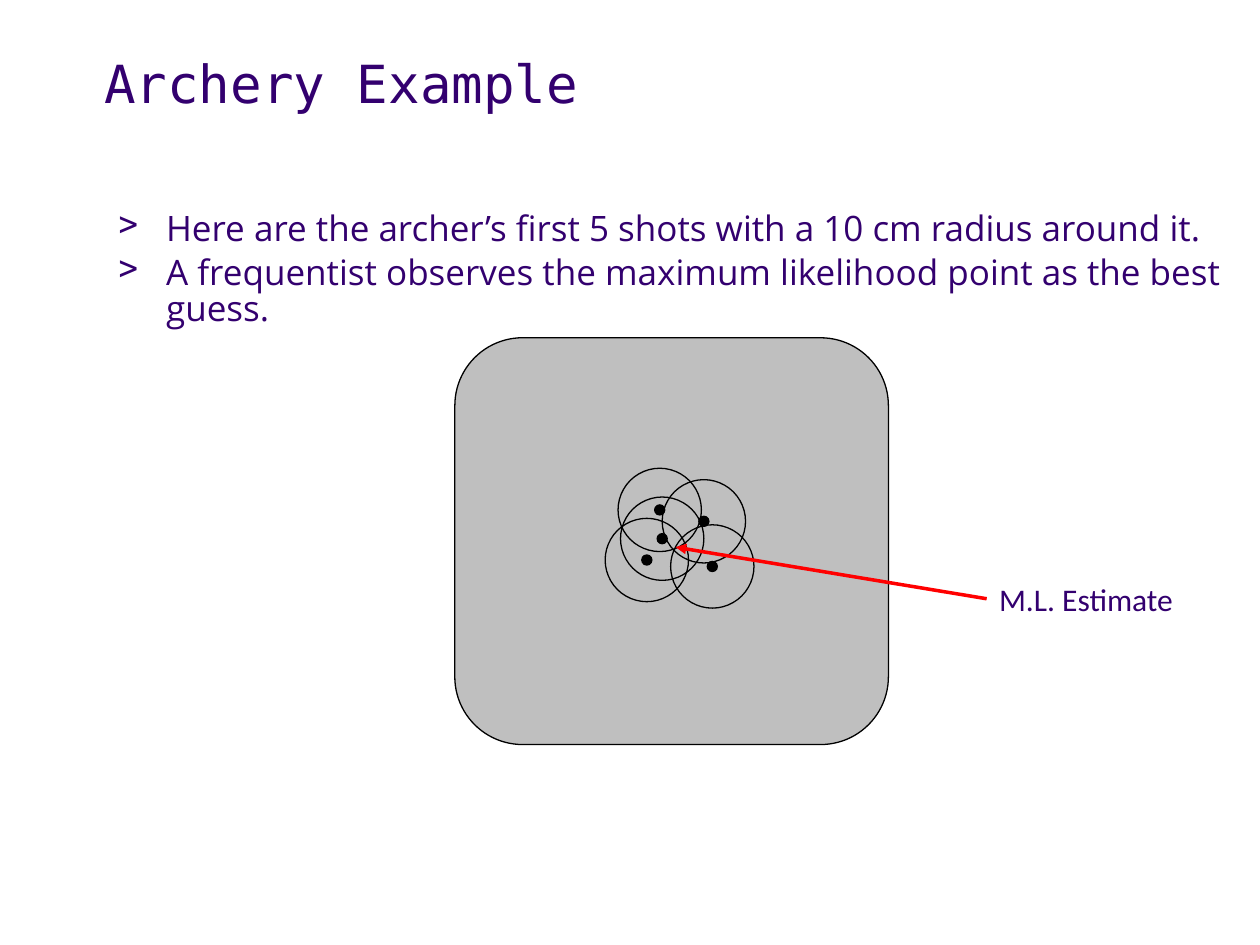
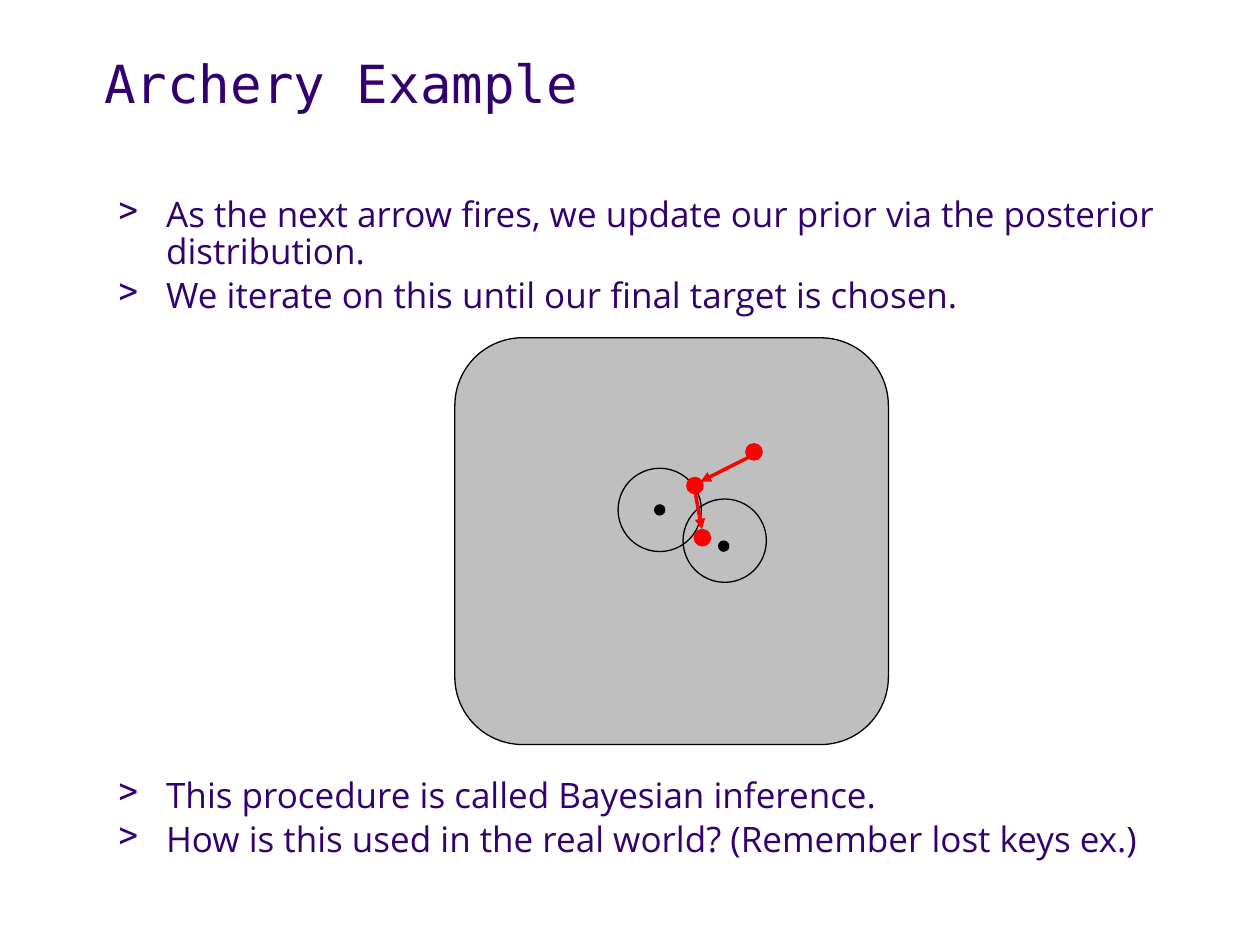
from dataclasses import dataclass

from pptx import Presentation
from pptx.dml.color import RGBColor
from pptx.enum.shapes import MSO_CONNECTOR, MSO_SHAPE
from pptx.oxml.ns import qn
from pptx.util import Cm, Pt

OVAL = MSO_SHAPE.OVAL
ROUNDED = MSO_SHAPE.ROUNDED_RECTANGLE
STRAIGHT = MSO_CONNECTOR.STRAIGHT


@dataclass(frozen=True)
class Theme:
    purple: str = "33006F"
    grey: str = "BFBFBF"
    black: str = "000000"
    red: str = "FF0000"
    outline: float = 0.75
    arrow: float = 2
    title: tuple = ("DejaVu Sans Mono", 30)
    body: tuple = ("Open Sans", 20)
    label: tuple = ("Calibri", 18)
    title_format: tuple = (("line_spacing", 0.9), ("space_before", Pt(0)))
    body_format: tuple = (("line_spacing", 0.88), ("space_before", Pt(4)))


THEME = Theme()

# Boxes are left, top, width, height in centimetres.
TITLE_BOX = (1.85, 1.04, 22.73, 2.74)
TARGET_BOX = (9.17, 6.81, 8.74, 8.2)
BODY_LEFT, BODY_WIDTH = 2.13, 22.76
BULLET_INDENT = 0.97
DOT, HIT, RING = 0.23, 0.33, 1.68

# Points are centres measured from the target's top left corner.
FIRST_SHOT = (4.13, 3.47)
SHOTS = [FIRST_SHOT, (5.02, 3.7), (3.87, 4.48), (5.19, 4.61), (4.18, 4.05)]
ESTIMATE = (4.45, 4.22)
LABEL_POINT = (10.72, 5.26)
NEXT_SHOT, NEXT_RING = (5.42, 4.2), (5.44, 4.09)
GUESSES = [(6.03, 2.3), (4.84, 2.98), (4.99, 4.03)]
UPDATES = [((5.92, 2.41), (4.95, 2.9)), ((4.85, 3.15), (4.98, 3.86))]


def rgb(color):
    return RGBColor.from_string(color)


def add_text(slide, box, lines, style, formats=(), wrap=True):
    frame = slide.shapes.add_textbox(*map(Cm, box)).text_frame
    frame.word_wrap = wrap
    for index, line in enumerate(lines):
        paragraph = frame.add_paragraph() if index else frame.paragraphs[0]
        for attribute, value in formats:
            setattr(paragraph, attribute, value)
        run = paragraph.add_run()
        run.text = line
        run.font.name, size = style
        run.font.size = Pt(size)
        run.font.color.rgb = rgb(THEME.purple)
    return frame


def add_bullets(slide, top, height, lines):
    box = (BODY_LEFT, top, BODY_WIDTH, height)
    frame = add_text(slide, box, lines, THEME.body, THEME.body_format)
    for paragraph in frame.paragraphs:
        properties = paragraph._p.get_or_add_pPr()
        properties.set("marL", str(Cm(BULLET_INDENT)))
        properties.set("indent", str(-Cm(BULLET_INDENT)))
        bullet = properties.makeelement(qn("a:buChar"), {"char": ">"})
        properties.append(bullet)


def add_outline(slide, preset, box, fill=None, line=None):
    shape = slide.shapes.add_shape(preset, *map(Cm, box))
    shape.shadow.inherit = False
    if fill:
        shape.fill.solid()
        shape.fill.fore_color.rgb = rgb(fill)
    else:
        shape.fill.background()
    if line:
        shape.line.color.rgb = rgb(line)
        shape.line.width = Pt(THEME.outline)
    else:
        shape.line.fill.background()


def on_target(point):
    return TARGET_BOX[0] + point[0], TARGET_BOX[1] + point[1]


def add_circles(slide, centres, diameter, **colors):
    for centre in centres:
        x, y = on_target(centre)
        box = (x - diameter / 2, y - diameter / 2, diameter, diameter)
        add_outline(slide, OVAL, box, **colors)


def add_arrow(slide, start, end):
    ends = map(Cm, on_target(start) + on_target(end))
    arrow = slide.shapes.add_connector(STRAIGHT, *ends)
    arrow.line.color.rgb = rgb(THEME.red)
    arrow.line.width = Pt(THEME.arrow)
    line = arrow.line._get_or_add_ln()
    line.append(line.makeelement(qn("a:tailEnd"), {"type": "triangle"}))
    properties = arrow._element.spPr
    properties.append(properties.makeelement(qn("a:effectLst"), {}))


def add_target(slide, shots, rings):
    """Draw the grey target with its shots and the 10 cm rings around them."""
    add_outline(slide, ROUNDED, TARGET_BOX, THEME.grey, THEME.black)
    add_circles(slide, shots, DOT, fill=THEME.black)
    add_circles(slide, rings, RING, line=THEME.black)


def start_slide(deck):
    slide = deck.slides.add_slide(deck.slide_layouts[6])
    add_text(slide, TITLE_BOX, ["Archery Example"], THEME.title, THEME.title_format)
    return slide


def build_estimate_slide(deck):
    slide = start_slide(deck)
    add_bullets(slide, 4.14, 3.94, [
        "Here are the archer’s first 5 shots with a 10 cm radius around it.",
        "A frequentist observes the maximum likelihood point as the best guess.",
    ])
    add_target(slide, SHOTS, SHOTS)
    add_arrow(slide, LABEL_POINT, ESTIMATE)
    x, y = on_target(LABEL_POINT)
    add_text(slide, (x, y - 0.51, 4.06, 1.02), ["M.L. Estimate"], THEME.label, wrap=False)


def build_update_slide(deck):
    slide = start_slide(deck)
    add_bullets(slide, 3.86, 2.95, [
        "As the next arrow fires, we update our prior via the posterior distribution.",
        "We iterate on this until our final target is chosen.",
    ])
    add_target(slide, [FIRST_SHOT, NEXT_SHOT], [FIRST_SHOT, NEXT_RING])
    add_circles(slide, GUESSES, HIT, fill=THEME.red, line=THEME.red)
    for start, end in UPDATES:
        add_arrow(slide, start, end)
    add_bullets(slide, 15.57, 2.77, [
        "This procedure is called Bayesian inference.",
        "How is this used in the real world? (Remember lost keys ex.)",
    ])


def main():
    deck = Presentation()
    deck.slide_width, deck.slide_height = Cm(25.4), Cm(19.05)
    build_estimate_slide(deck)
    build_update_slide(deck)
    deck.save("out.pptx")


if __name__ == "__main__":
    main()
